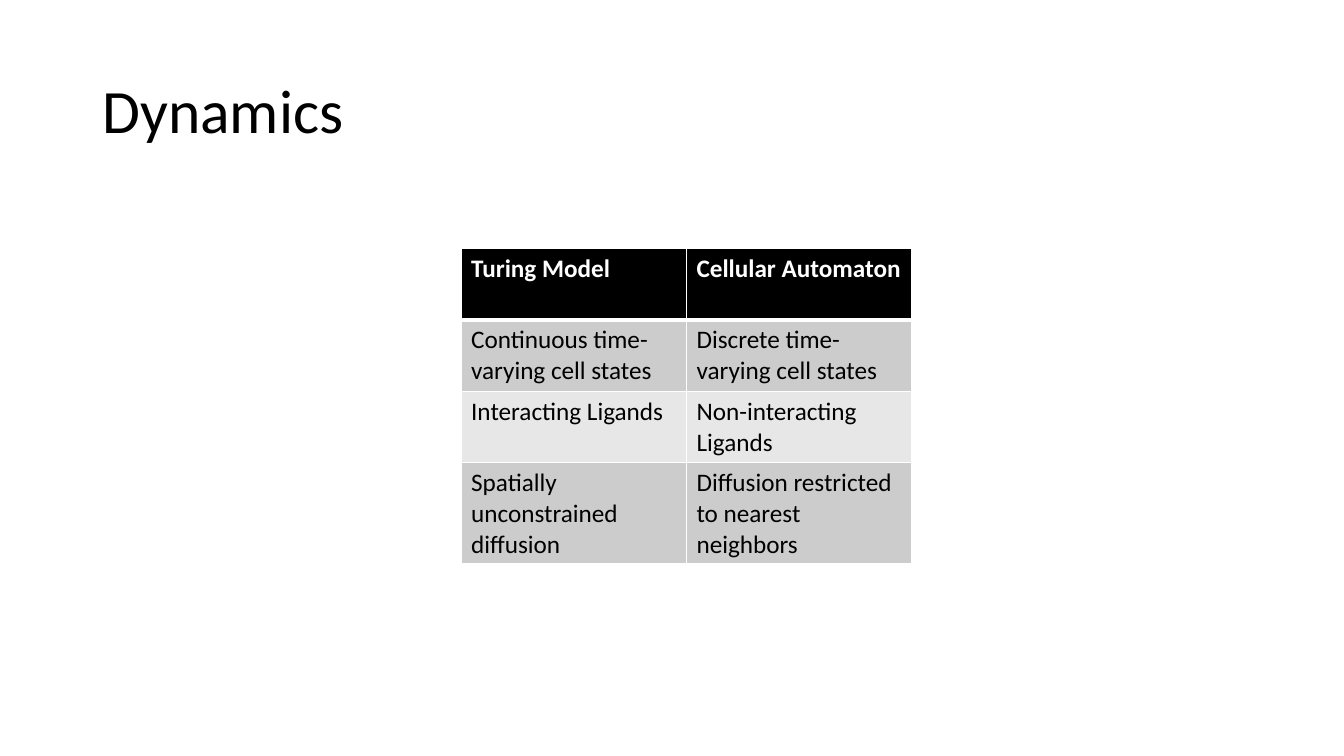
from dataclasses import dataclass

from lxml import etree
from pptx import Presentation
from pptx import util as u
from pptx.dml.color import RGBColor
from pptx.enum import text
from pptx.oxml import ns


@dataclass(frozen=True)
class Theme:
    """Colours, font and type sizes of the slide."""
    font: str = "Calibri"
    ink: str = "000000"
    paper: str = "FFFFFF"
    bands: tuple = ("CCCCCC", "E7E7E7")
    title: int = 44
    body: int = 18
    thin: int = 1
    thick: int = 3


THEME = Theme()
ROWS = (
    ("Turing Model", "Cellular Automaton"),
    ("Continuous time-varying cell states", "Discrete time-varying cell states"),
    ("Interacting Ligands", "Non-interacting Ligands"),
    ("Spatially unconstrained diffusion", "Diffusion restricted to nearest neighbors"),
)


def style(frame, size, color, bold=False):
    """Format every run of a text frame."""
    for para in frame.paragraphs:
        for run in para.runs:
            font = run.font
            font.name, font.size, font.bold = THEME.font, u.Pt(size), bold
            font.color.rgb = RGBColor.from_string(color)


def add_title(slide, words, left, top, width, height):
    """Add the slide title, centred on its height."""
    frame = slide.shapes.add_textbox(left, top, width, height).text_frame
    frame.word_wrap = True
    frame.vertical_anchor = text.MSO_ANCHOR.MIDDLE
    frame.text = words
    frame.paragraphs[0].line_spacing = 0.9
    style(frame, THEME.title, THEME.ink)


def add_edge(cell, side, width):
    """Draw one border of a cell."""
    props = cell._tc.get_or_add_tcPr()
    line = etree.SubElement(props, ns.qn(f"a:ln{side}"), w=str(u.Pt(width)))
    fill = etree.SubElement(line, ns.qn("a:solidFill"))
    etree.SubElement(fill, ns.qn("a:srgbClr"), val=THEME.paper)


def fill_cell(cell, words, row):
    """Write and colour one cell according to its row."""
    head = row == 0
    cell.text = words
    style(cell.text_frame, THEME.body, THEME.paper if head else THEME.ink, head)
    heavy = {0: "B", 1: "T"}.get(row)
    for side in "LRTB":
        add_edge(cell, side, THEME.thick if side == heavy else THEME.thin)
    cell.fill.solid()
    color = THEME.ink if head else THEME.bands[(row - 1) % 2]
    cell.fill.fore_color.rgb = RGBColor.from_string(color)


def add_grid(slide, rows, left, top, width, height):
    """Add a table with a dark header and banded rows."""
    frame = slide.shapes.add_table(len(rows), len(rows[0]), left, top, width, height)
    for row, line in enumerate(rows):
        for col, words in enumerate(line):
            fill_cell(frame.table.cell(row, col), words, row)


def main():
    """Build and save the slide."""
    deck = Presentation()
    deck.slide_width, deck.slide_height = u.Cm(33.87), u.Cm(19.05)
    slide = deck.slides.add_slide(deck.slide_layouts[6])
    add_title(slide, "Dynamics", u.Cm(2.33), u.Cm(1.01), u.Cm(29.21), u.Cm(3.68))
    add_grid(slide, ROWS, u.Cm(11.62), u.Cm(6.26), u.Cm(11.36), u.Cm(7.2))
    deck.save("out.pptx")


if __name__ == "__main__":
    main()
